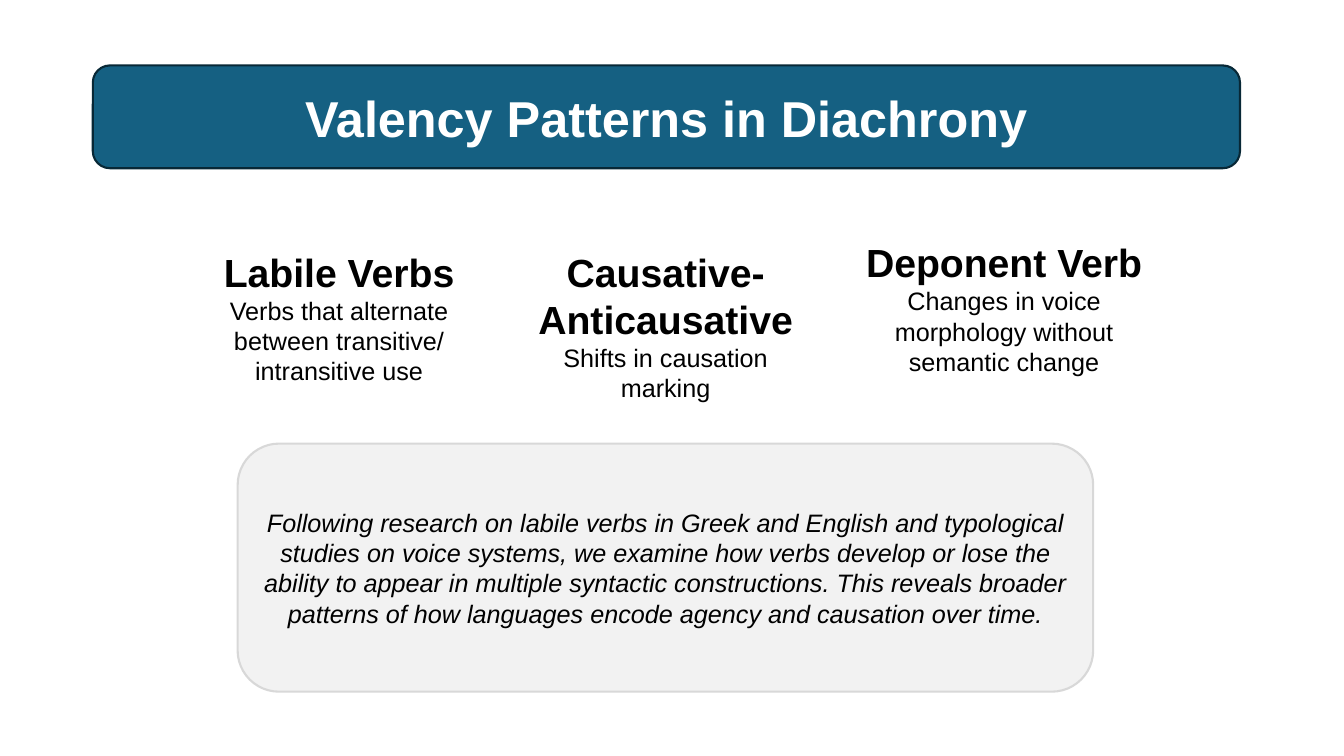
from dataclasses import dataclass

from pptx import Presentation
from pptx.dml.color import RGBColor
from pptx.enum.shapes import MSO_SHAPE
from pptx.enum.text import MSO_ANCHOR as Anchor, MSO_AUTO_SIZE as AutoSize, PP_ALIGN as Align
from pptx.util import Cm, Pt


@dataclass
class Box:
    left: float
    top: float
    width: float
    height: float

    def lengths(self) -> tuple:
        return Cm(self.left), Cm(self.top), Cm(self.width), Cm(self.height)


@dataclass
class Panel:
    box: Box
    fill: str
    line: str


@dataclass
class Pattern:
    box: Box
    heading: str
    description: str


BANNER = Panel(Box(2.34, 1.65, 28.91, 2.59), "156082", "082836")
SUMMARY = Panel(Box(5.99, 11.18, 21.56, 6.25), "F2F2F2", "D8D8D8")
SUMMARY_TEXT = (
    "Following research on labile verbs in Greek and English and typological "
    "studies on voice systems, we examine how verbs develop or lose the ability "
    "to appear in multiple syntactic constructions. This reveals broader patterns "
    "of how languages encode agency and causation over time."
)
PATTERNS = [
    Pattern(Box(4.8, 6.12, 7.49, 3.76), "Labile Verbs",
            "Verbs that alternate between transitive/ intransitive use"),
    Pattern(Box(13.03, 6.12, 7.49, 4.19), "Causative-Anticausative",
            "Shifts in causation marking"),
    Pattern(Box(21.56, 5.89, 7.49, 3.76), "Deponent Verb",
            "Changes in voice morphology without semantic change"),
]


def color(value: str) -> RGBColor:
    return RGBColor.from_string(value)


def write(p, text: str, size: int, ink: str = "000000",
          bold: bool = False, italic: bool = False) -> None:
    p.text = text
    p.alignment = Align.CENTER
    p.font.name = "Arial"
    p.font.size = Pt(size)
    p.font.bold = bold
    p.font.italic = italic
    p.font.color.rgb = color(ink)


def draw_panel(slide, panel: Panel):
    sp = slide.shapes.add_shape(MSO_SHAPE.ROUNDED_RECTANGLE, *panel.box.lengths())
    sp.shadow.inherit = False
    sp.fill.solid()
    sp.fill.fore_color.rgb = color(panel.fill)
    sp.line.color.rgb = color(panel.line)
    sp.line.width = Pt(1.5)
    return sp


def draw_title(slide, box: Box, text: str) -> None:
    sp = slide.shapes.title
    sp.left, sp.top, sp.width, sp.height = box.lengths()
    tf = sp.text_frame
    tf.auto_size = AutoSize.NONE
    tf.vertical_anchor = Anchor.MIDDLE
    write(tf.paragraphs[0], text, 36, "FFFFFF", bold=True)
    slide.shapes.element.append(sp.element)


def draw_pattern(slide, pattern: Pattern) -> None:
    tf = slide.shapes.add_textbox(*pattern.box.lengths()).text_frame
    tf.word_wrap = True
    tf.auto_size = AutoSize.SHAPE_TO_FIT_TEXT
    write(tf.paragraphs[0], pattern.heading, 28, bold=True)
    write(tf.add_paragraph(), pattern.description, 18)


def main() -> None:
    prs = Presentation()
    prs.slide_width, prs.slide_height = Cm(33.87), Cm(19.05)
    slide = prs.slides.add_slide(prs.slide_layouts.get_by_name("Title Only"))
    draw_panel(slide, BANNER)
    draw_title(slide, BANNER.box, "Valency Patterns in Diachrony")
    for pattern in PATTERNS:
        draw_pattern(slide, pattern)
    tf = draw_panel(slide, SUMMARY).text_frame
    tf.word_wrap = True
    tf.vertical_anchor = Anchor.MIDDLE
    write(tf.paragraphs[0], SUMMARY_TEXT, 18, italic=True)
    prs.save("out.pptx")


if __name__ == "__main__":
    main()
